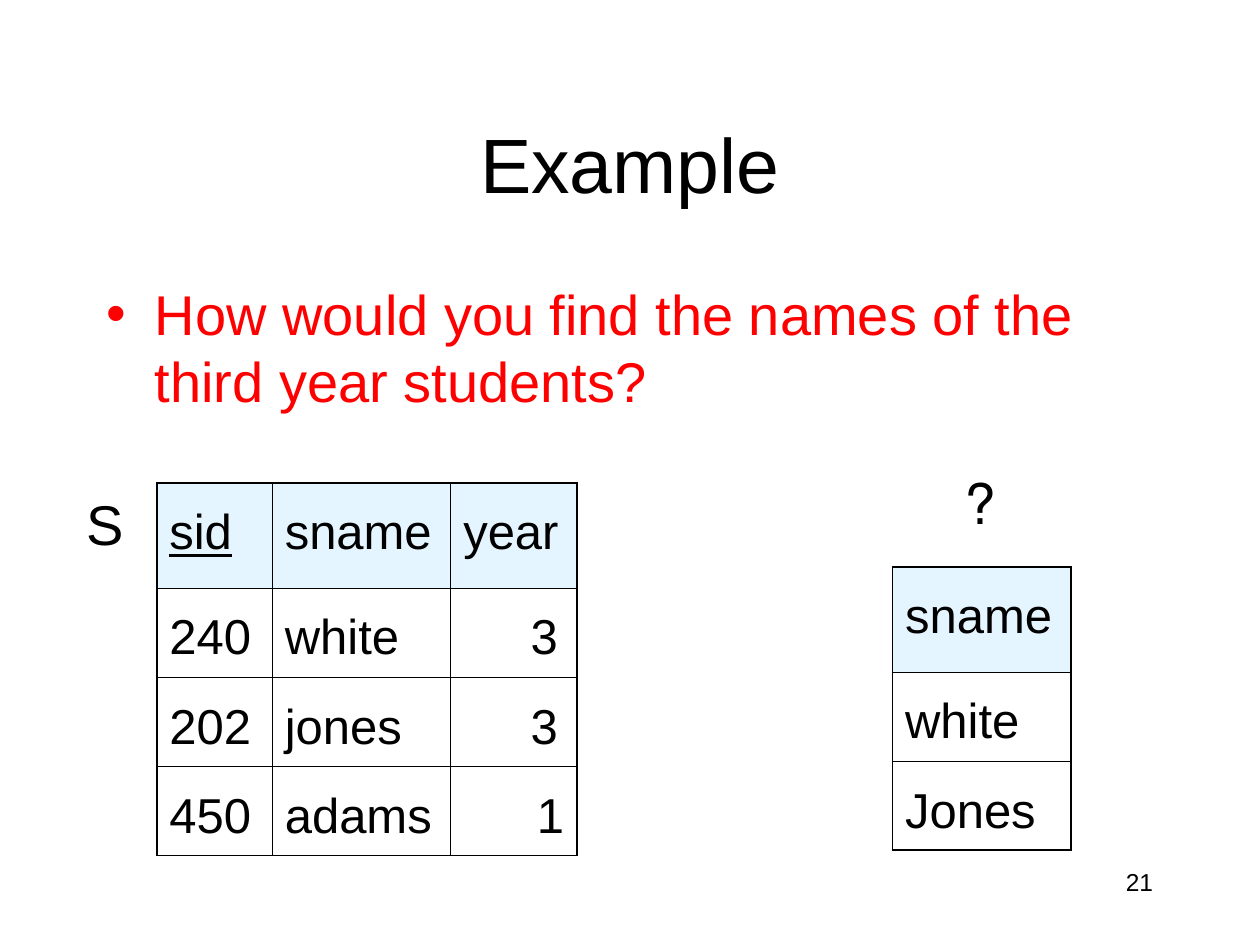
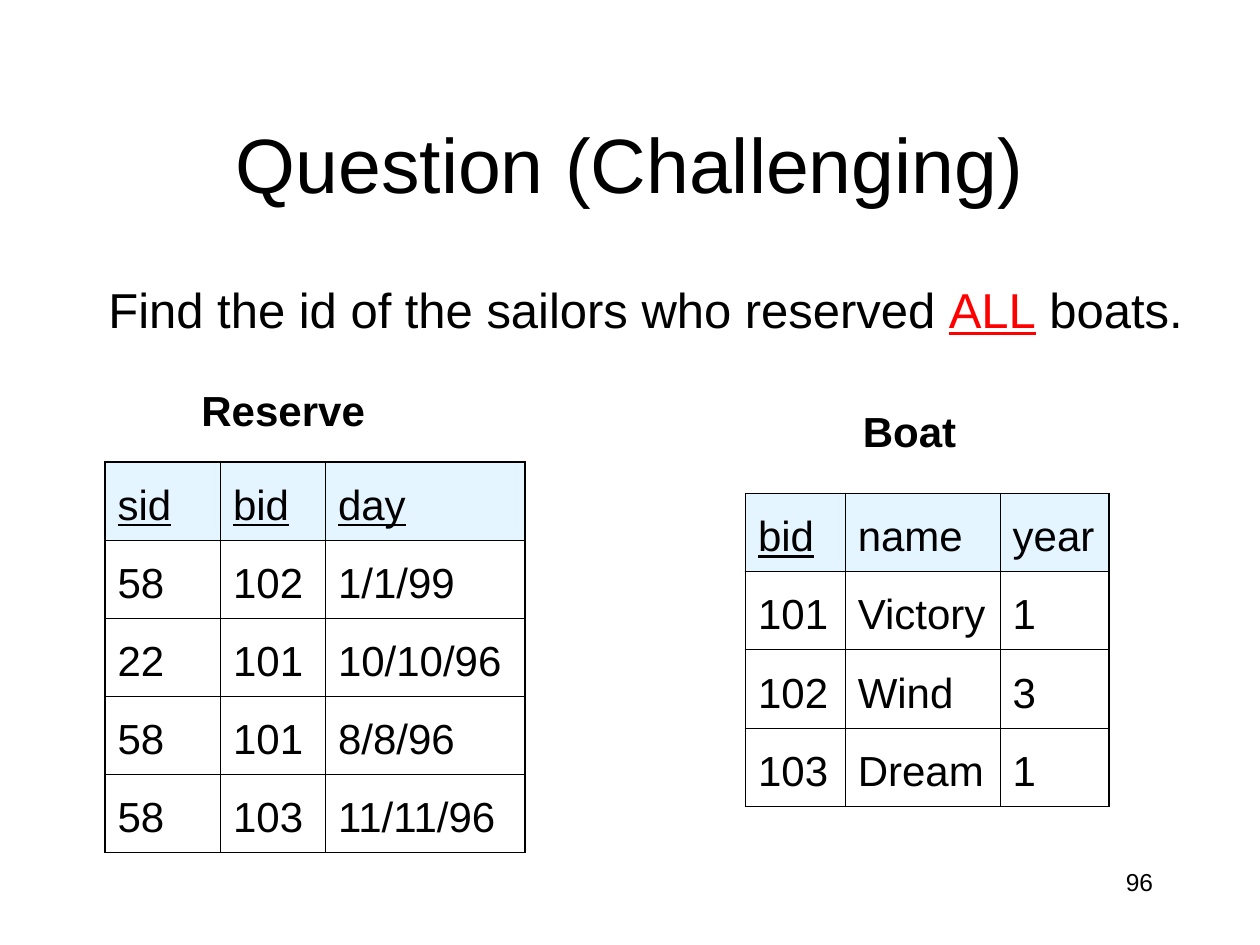
from lxml import etree
from pptx import Presentation
from pptx.dml.color import RGBColor
from pptx.enum.text import MSO_ANCHOR as Anchor, MSO_AUTO_SIZE as AutoSize, PP_ALIGN as Align
from pptx.oxml import parse_xml
from pptx.oxml.ns import nsdecls, qn
from pptx.util import Inches, Pt

COLORS = {"ink": "000000", "accent": "FF0000", "header": "CCECFF"}
FONT = "Arial"
GRID_COLUMNS, GRID_ROWS = 120, 90
THICK, THIN = 1.08, 0.45


class Deck:
    """Holds the style and the current slide; lengths are grid columns and rows."""

    def __init__(self):
        self.prs = Presentation()
        self.prs.slide_width, self.prs.slide_height = Inches(10), Inches(7.5)
        self.slide = None

    def x(self, columns):
        return round(self.prs.slide_width * columns / GRID_COLUMNS)

    def y(self, rows):
        return round(self.prs.slide_height * rows / GRID_ROWS)

    def box(self, left, top, width, height):
        return self.x(left), self.y(top), self.x(width), self.y(height)

    def style(self, run, size, color="ink", bold=False, underline=False):
        font = run.font
        font.name, font.size = FONT, Pt(size)
        font.bold, font.underline = bold, underline
        font.color.rgb = RGBColor.from_string(COLORS[color])

    def start(self, heading, number):
        self.slide = self.prs.slides.add_slide(self.prs.slide_layouts[5])
        title = self.slide.shapes.title
        title.left, title.top, title.width, title.height = self.box(9, 8, 102, 15)
        frame = title.text_frame
        frame.text = heading
        frame.vertical_anchor = Anchor.MIDDLE
        frame.auto_size = AutoSize.NONE
        frame.paragraphs[0].alignment = Align.CENTER
        self.style(frame.paragraphs[0].runs[0], 44)
        self.text((86, 82, 25, 6), number, 14, align=Align.RIGHT)

    def text(self, place, words, size, align=Align.LEFT, wrap=True, **look):
        frame = self.slide.shapes.add_textbox(*self.box(*place)).text_frame
        frame.word_wrap = wrap
        paragraph = frame.paragraphs[0]
        paragraph.text = words
        paragraph.alignment = align
        self.style(paragraph.runs[0], size, **look)
        return paragraph

    def bullet(self, place, words, size, color):
        paragraph = self.text(place, words, size, color=color)
        props = paragraph._p.get_or_add_pPr()
        indent = Inches(0.38)
        props.set("marL", str(indent))
        props.set("indent", str(-indent))
        bullet_color = etree.SubElement(props, qn("a:buClr"))
        etree.SubElement(bullet_color, qn("a:srgbClr"), val=COLORS[color])
        etree.SubElement(props, qn("a:buFont"), typeface=FONT)
        etree.SubElement(props, qn("a:buChar"), char="•")

    def relation_mark(self, left, top, symbol):
        paragraph = self.text((left, top, 6, 7.7), symbol, 32, align=Align.RIGHT)
        paragraph._p.get_or_add_pPr().set("rtl", "1")

    def relation(self, corner, widths, heights, records, size, keys=(), bottom=THICK):
        """Draws a relation whose first record is the header; keys are underlined."""
        place = self.box(*corner, sum(widths), sum(heights))
        table = self.slide.shapes.add_table(len(records), len(widths), *place).table
        table.first_row = table.horz_banding = False
        for column, width in zip(table.columns, widths):
            column.width = self.x(width)
        for row, height in zip(table.rows, heights):
            row.height = self.y(height)
        last_row, last_column = len(records) - 1, len(widths) - 1
        for r, record in enumerate(records):
            for c, value in enumerate(record):
                cell = table.cell(r, c)
                cell.text = value
                paragraph = cell.text_frame.paragraphs[0]
                paragraph.line_spacing = 1.3
                self.style(paragraph.runs[0], size, underline=r == 0 and value in keys)
                self.fill_cell(cell, is_header=r == 0)
                self.cell_borders(cell, L=THICK if c == 0 else THIN,
                                  R=THICK if c == last_column else THIN,
                                  T=THICK if r == 0 else THIN,
                                  B=bottom if r == last_row else THIN)
        return table

    def fill_cell(self, cell, is_header):
        if not is_header:
            cell.fill.background()
            return
        cell.fill.solid()
        cell.fill.fore_color.rgb = RGBColor.from_string(COLORS["header"])
        tint = cell._tc.tcPr.find(".//" + qn("a:srgbClr"))
        etree.SubElement(tint, qn("a:alpha"), val="50000")

    def cell_borders(self, cell, **weights):
        """Adds the sides in the order L, R, T, B, ahead of the fill."""
        for position, (side, weight) in enumerate(weights.items()):
            cell._tc.tcPr.insert(position, parse_xml(
                f'<a:ln{side} {nsdecls("a")} w="{Pt(weight)}"><a:solidFill>'
                f'<a:srgbClr val="{COLORS["ink"]}"/></a:solidFill></a:ln{side}>'))


def example_slide(deck):
    deck.start("Example", "21")
    deck.bullet((9, 26, 102, 54), "How would you find the names of the third year students?",
                32, "accent")
    deck.relation_mark(7, 46, "S")
    students = deck.relation(
        (14.93, 46), (11, 17, 12), (10, 8.5, 8.5, 8.45),
        (("sid", "sname", "year"), ("240", "white", "3"),
         ("202", "jones", "3"), ("450", "adams", "1")), 28, keys=("sid",))
    for row, right_margin in ((1, 0.15), (2, 0.15), (3, 0.1)):
        year = students.cell(row, 2)
        year.margin_right = Inches(right_margin)
        year.text_frame.paragraphs[0].alignment = Align.RIGHT
    deck.relation((85, 54), (17,), (10, 8.5, 8.45), (("sname",), ("white",), ("Jones",)), 28)
    deck.relation_mark(90, 44, "?")


def question_slide(deck):
    deck.start("Question (Challenging)", "96")
    task = deck.text((9.15, 26, 108, 6.8), "Find the id of the sailors who reserved ",
                     28, wrap=False)
    for words, look in (("ALL", {"color": "accent", "underline": True}), (" boats.", {})):
        run = task.add_run()
        run.text = words
        deck.style(run, 28, **look)

    row_height = 7.44
    deck.text((18, 36, 27, 6), "Reserve", 24, bold=True)
    deck.relation(
        (10, 44), (11, 10, 19), [row_height] * 5,
        (("sid", "bid", "day"), ("58", "102", "1/1/99"), ("22", "101", "10/10/96"),
         ("58", "101", "8/8/96"), ("58", "103", "11/11/96")),
        24, keys=("sid", "bid", "day"), bottom=THIN)
    deck.text((81, 38, 27, 6), "Boat", 24, bold=True)
    deck.relation(
        (71, 47), (9.5, 14.75, 10.4), [row_height] * 4,
        (("bid", "name", "year"), ("101", "Victory", "1"),
         ("102", "Wind", "3"), ("103", "Dream", "1")),
        24, keys=("bid",), bottom=THIN)


def main():
    deck = Deck()
    example_slide(deck)
    question_slide(deck)
    deck.prs.save("out.pptx")


if __name__ == "__main__":
    main()
